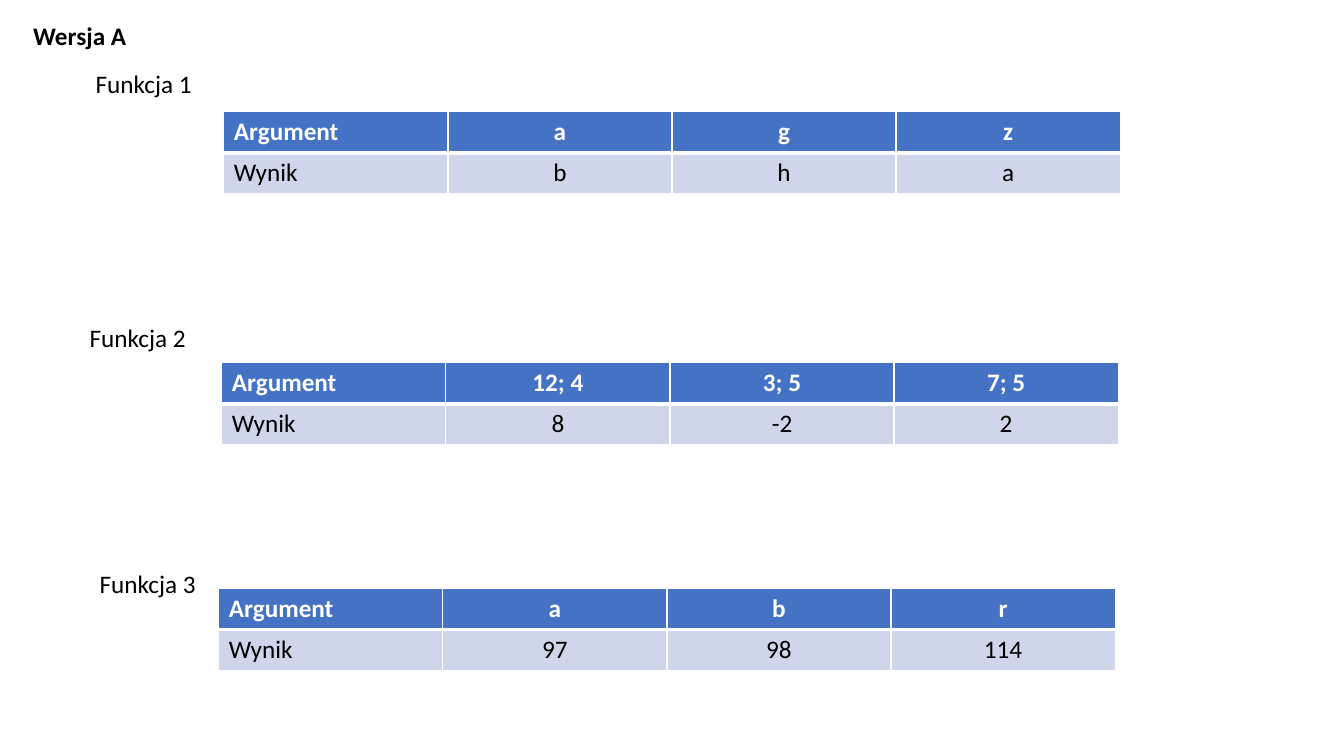
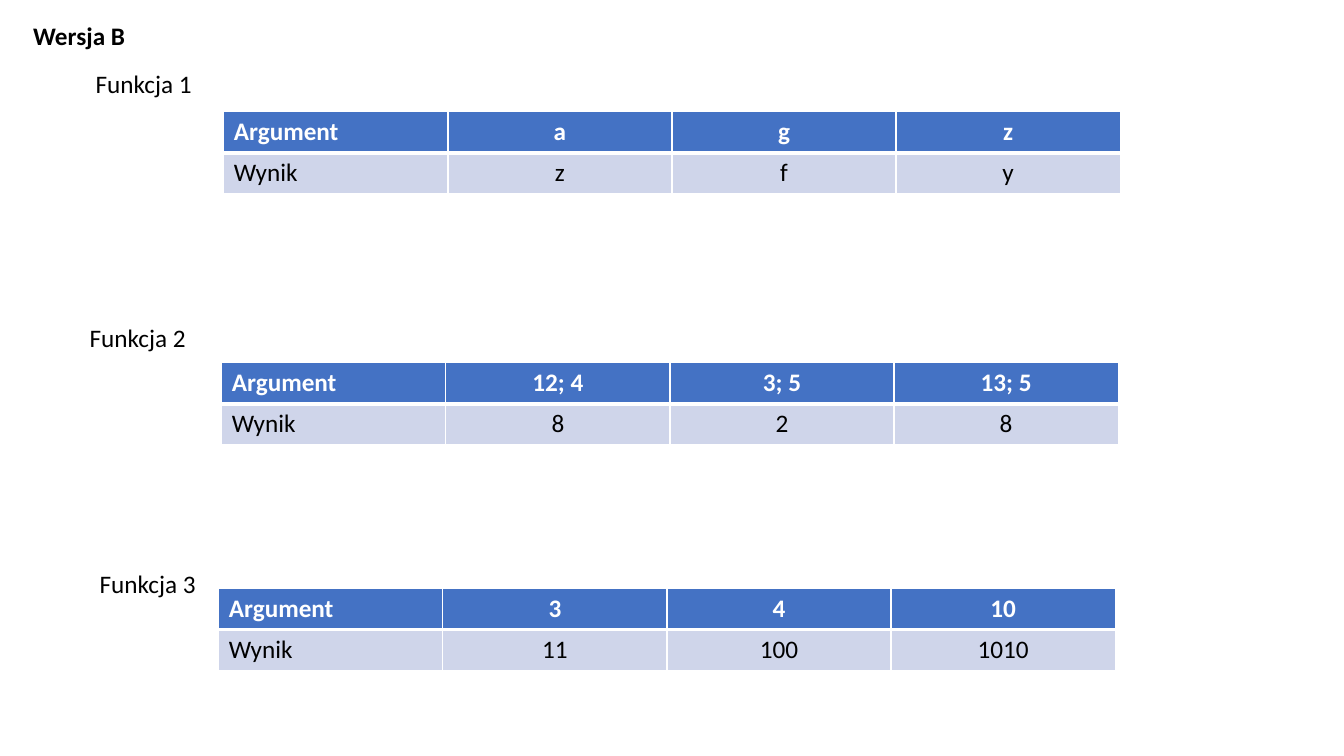
import pptx
import pptx.dml.color
import pptx.enum.text
import pptx.oxml.ns
import pptx.util
from lxml import etree

Inches = pptx.util.Inches
FONT = "Calibri"
TEXT_SIZE = 18
BLACK = "000000"
WHITE = "FFFFFF"
HEADER_FILL = "4472C4"
BODY_FILL = "CFD5EA"
THIN, THICK = 1, 3
COLUMN_WIDTH = 8.89 / 4
ROW_HEIGHT = 0.405

LAYOUT = [
    ("Funkcja 1", (0.85, 0.63, 1.77), (2.22, 1.11)),
    ("Funkcja 2", (0.79, 3.15, 1.41), (2.2, 3.6)),
    ("Funkcja 3", (0.89, 5.59, 1.36), (2.17, 5.84)),
]

VERSIONS = [
    ("Wersja A", [
        (["a", "g", "z"], ["b", "h", "a"]),
        (["12; 4", "3; 5", "7; 5"], ["8", "-2", "2"]),
        (["a", "b", "r"], ["97", "98", "114"]),
    ]),
    ("Wersja B", [
        (["a", "g", "z"], ["z", "f", "y"]),
        (["12; 4", "3; 5", "13; 5"], ["8", "2", "8"]),
        (["3", "4", "10"], ["11", "100", "1010"]),
    ]),
]


def color(value):
    return pptx.dml.color.RGBColor.from_string(value)


def add_run(paragraph, text, text_color=BLACK, bold=False):
    run = paragraph.add_run()
    run.text = text
    run.font.name = FONT
    run.font.size = pptx.util.Pt(TEXT_SIZE)
    run.font.bold = bold
    run.font.color.rgb = color(text_color)


def add_label(slide, text, left, top, width, bold=False, wrap=True):
    shape = slide.shapes.add_textbox(Inches(left), Inches(top), Inches(width), Inches(0.4))
    frame = shape.text_frame
    frame.word_wrap = wrap
    frame.auto_size = pptx.enum.text.MSO_AUTO_SIZE.SHAPE_TO_FIT_TEXT
    add_run(frame.paragraphs[0], text, bold=bold)


def set_borders(cell, top, bottom):
    properties = cell._tc.get_or_add_tcPr()
    qn = pptx.oxml.ns.qn
    for side, width in (("L", THIN), ("R", THIN), ("T", top), ("B", bottom)):
        line = etree.SubElement(properties, qn(f"a:ln{side}"), w=str(pptx.util.Pt(width)))
        fill = etree.SubElement(line, qn("a:solidFill"))
        etree.SubElement(fill, qn("a:srgbClr"), val=WHITE)


def fill_cell(cell, text, centered, header):
    if header:
        set_borders(cell, THIN, THICK)
    else:
        set_borders(cell, THICK, THIN)
    cell.fill.solid()
    cell.fill.fore_color.rgb = color(HEADER_FILL if header else BODY_FILL)
    paragraph = cell.text_frame.paragraphs[0]
    if centered:
        paragraph.alignment = pptx.enum.text.PP_ALIGN.CENTER
    add_run(paragraph, text, WHITE if header else BLACK, header)


def add_function_table(slide, left, top, arguments, results):
    rows = [["Argument", *arguments], ["Wynik", *results]]
    column_count = len(rows[0])
    table = slide.shapes.add_table(
        len(rows), column_count, Inches(left), Inches(top),
        Inches(COLUMN_WIDTH * column_count), Inches(ROW_HEIGHT * len(rows))).table
    for column in table.columns:
        column.width = Inches(COLUMN_WIDTH)
    for row_index, texts in enumerate(rows):
        table.rows[row_index].height = Inches(ROW_HEIGHT)
        for column_index, text in enumerate(texts):
            fill_cell(table.cell(row_index, column_index), text,
                      centered=column_index > 0, header=row_index == 0)


def add_version_slide(presentation, title, functions):
    slide = presentation.slides.add_slide(presentation.slide_layouts[6])
    for (name, label_place, table_place), (arguments, results) in zip(LAYOUT, functions):
        add_label(slide, name, *label_place)
        add_function_table(slide, *table_place, arguments, results)
    add_label(slide, title, 0.23, 0.15, 1.13, bold=True, wrap=False)


def main():
    presentation = pptx.Presentation()
    presentation.slide_width = Inches(13.33)
    presentation.slide_height = Inches(7.5)
    for title, functions in VERSIONS:
        add_version_slide(presentation, title, functions)
    presentation.save("out.pptx")


if __name__ == "__main__":
    main()
